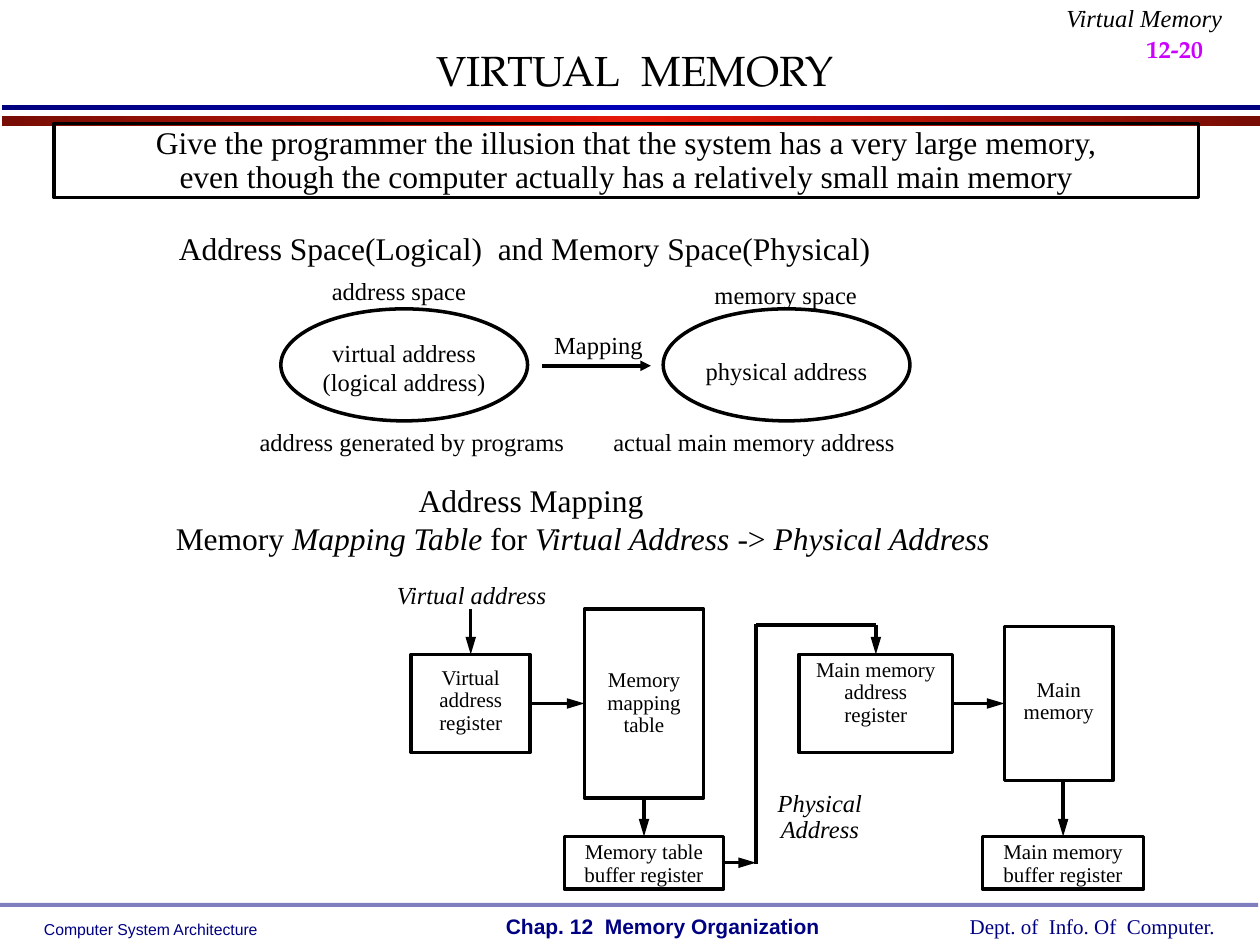
from copy import deepcopy

from lxml.etree import SubElement as Sub
from pptx import Presentation
from pptx.dml.color import RGBColor
from pptx.enum.shapes import MSO_CONNECTOR as Conn, MSO_SHAPE as Kind
from pptx.enum.text import MSO_ANCHOR as Anchor, PP_ALIGN as Align
from pptx.oxml.ns import qn
from pptx.util import Pt

SERIF, SANS, TITLE = "Times New Roman", "Arial", "TeX Gyre Pagella"
BLACK, NAVY = "000000", "000082"
TOP, LEFT, BOTTOM, RIGHT = range(4)


def tint(color, code):
    """Set a colour from a hex string."""
    color.rgb = RGBColor.from_string(code)


def write(frame, text, size, name=SERIF, code=BLACK, align=Align.CENTER,
          bold=False, ital=False, gap=1.0):
    """Fill a text frame, one paragraph a line, with *starred* parts in italics."""
    frame.word_wrap = False
    for n, line in enumerate(text.split("\n")):
        para = frame.add_paragraph() if n else frame.paragraphs[0]
        para.alignment = align
        para.line_spacing = gap
        parts = line.split("*")
        for k, part in enumerate(parts):
            run = para.add_run()
            run.text = part
            if len(parts) > 1:
                run.font.italic = k % 2 == 1
        font = para.font
        font.name, font.size, font.bold = name, Pt(size), bold
        if len(parts) == 1:
            font.italic = ital
        tint(font.color, code)


def label(slide, text, x, y, w, size, h=24, **style):
    """Add a text box."""
    area = slide.shapes.add_textbox(Pt(x), Pt(y), Pt(w), Pt(h))
    write(area.text_frame, text, size, **style)
    return area


def mid(slide, text, x, y, size=14, w=120, **style):
    """Add a label centred on x."""
    return label(slide, text, x - w / 2, y, w, size, **style)


def box(slide, text, x, y, w, h, size=12, kind=Kind.RECTANGLE, gap=0.9, drop=0):
    """Add an outlined shape whose text sits drop points below the middle."""
    shape = slide.shapes.add_shape(kind, Pt(x), Pt(y), Pt(w), Pt(h))
    shape.shadow.inherit = False
    shape.fill.background()
    tint(shape.line.color, BLACK)
    shape.line.width = Pt(2)
    frame = shape.text_frame
    frame.margin_left = frame.margin_right = 0
    frame.margin_top = Pt(max(2 * drop, 0))
    frame.margin_bottom = Pt(max(-2 * drop, 0))
    frame.vertical_anchor = Anchor.MIDDLE
    write(frame, text, size, gap=gap)
    return shape


def bar(slide, x, y, w, h):
    """Add a borderless strip."""
    shape = slide.shapes.add_shape(Kind.RECTANGLE, Pt(x), Pt(y), Pt(w), Pt(h))
    shape.shadow.inherit = False
    shape.line.fill.background()
    return shape


def blend(slide, y, h, edge, core):
    """Add a full-width strip that shades from edge to core and back."""
    shape = bar(slide, 1, y, 719, h)
    fill = shape.fill
    fill.gradient()
    fill.gradient_angle = 0
    stops = shape.element.spPr.find(".//" + qn("a:gsLst"))
    stops.append(deepcopy(stops[0]))
    for stop, place, code in zip(fill.gradient_stops, (0, 0.5, 1), (edge, core, edge)):
        stop.position = place
        tint(stop.color, code)


def link(slide, start, end, head=True, size="lg", begin=None, stop=None):
    """Add a straight line, joined to (shape, side) pairs where given."""
    line = slide.shapes.add_connector(Conn.STRAIGHT, *map(Pt, start + end))
    if begin:
        line.begin_connect(*begin)
    if stop:
        line.end_connect(*stop)
    tint(line.line.color, BLACK)
    line.line.width = Pt(2)
    props = line.element.spPr
    if head:
        Sub(props.find(qn("a:ln")), qn("a:tailEnd"), type="triangle", w="med", len=size)
    Sub(props, qn("a:effectLst"))


def frame(slide):
    """Add the title, rules, page mark and footer."""
    blend(slide, 66.5, 5.5, "770D05", "E71909")
    blend(slide, 60, 3, "00007F", "0000B6")
    rule = bar(slide, 0, 516, 719, 2.3)
    rule.fill.solid()
    tint(rule.fill.fore_color, NAVY)
    Sub(rule.element.spPr.find(".//" + qn("a:srgbClr")), qn("a:alpha"), val="50000")
    title = slide.shapes.title
    title.left, title.top, title.width, title.height = map(Pt, (42, 21.5, 641.5, 37))
    title.text_frame.vertical_anchor = Anchor.MIDDLE
    write(title.text_frame, "VIRTUAL  MEMORY", 24, TITLE)
    page = label(slide, "12-20", 648, 0, 78, 24, 40, name=TITLE, code="CC00FF",
                 bold=True, align=Align.LEFT)
    run = page.text_frame.paragraphs[0].runs[0]
    run.font.size = Pt(24)
    run.font._element.set("baseline", "-25000")
    label(slide, "Virtual Memory", 601, 0, 104.5, 14, ital=True, align=Align.RIGHT, gap=0.9)
    foot = dict(code=NAVY, align=Align.LEFT)
    label(slide, "Computer System Architecture", 18, 522, 137, 9, 18, name=SANS, **foot)
    label(slide, "Chap. 12  Memory Organization", 282, 518.5, 194, 12, 22, name=SANS,
          bold=True, **foot)
    label(slide, "Dept. of  Info. Of  Computer.", 547, 518.5, 156, 12, 22, **foot)


def spaces(slide):
    """Add the two address spaces and the mapping between them."""
    box(slide, "Give the programmer the illusion that the system has a very large memory,\n"
        "even though the computer actually has a relatively small main memory",
        31, 70.5, 654, 42.5, 18, drop=0.5)
    mid(slide, "Address Space(Logical)  and Memory Space(Physical)", 300, 127.5, 18, 440)
    oval = dict(size=14, kind=Kind.OVAL, gap=1.0)
    box(slide, "virtual address\n(logical address)", 160.5, 176.5, 141, 64, drop=1.5, **oval)
    box(slide, "physical address", 379, 176.5, 141, 64, drop=3.5, **oval)
    link(slide, (309.5, 209), (372, 209), size="med")
    mid(slide, "address space", 228, 154)
    mid(slide, "memory space", 449, 156.5)
    mid(slide, "Mapping", 342, 185, w=84)
    mid(slide, "address generated by programs", 235.5, 240.5, w=210)
    mid(slide, "actual main memory address", 431, 240.5, w=200)


def flow(slide):
    """Add the register diagram of the mapping table."""
    mid(slide, "Address Mapping", 303.5, 271.5, 18, 170)
    mid(slide, "Memory *Mapping Table* for *Virtual Address* -> *Physical Address*",
        333, 293, 18, 510)
    mid(slide, "Virtual address", 269.5, 329.5, ital=True, gap=0.9)
    mid(slide, "Physical\nAddress", 468.5, 448.5, w=90, h=38, ital=True, gap=0.9)
    virt = box(slide, "Virtual\naddress\nregister", 235, 374, 68, 56, drop=-1.5)
    table = box(slide, "Memory\nmapping\ntable", 334, 348, 68, 108)
    tbuf = box(slide, "Memory table\nbuffer register", 322.5, 478, 91, 30, drop=1)
    addr = box(slide, "Main memory\naddress\nregister", 456.5, 374, 88, 56, drop=-6)
    main = box(slide, "Main\nmemory", 574, 358, 62, 88, drop=-1)
    mbuf = box(slide, "Main memory\nbuffer register", 561.5, 478, 92, 30, drop=1)
    link(slide, (269, 348), (269, 374), stop=(virt, TOP))
    link(slide, (303, 402), (334, 402), begin=(virt, RIGHT), stop=(table, LEFT))
    link(slide, (368, 456), (368, 478), begin=(table, BOTTOM), stop=(tbuf, TOP))
    link(slide, (413.5, 493), (432, 493), begin=(tbuf, RIGHT))
    link(slide, (432, 494), (432, 356.5), head=False)
    link(slide, (432, 357), (500.5, 357), head=False)
    link(slide, (500.5, 357), (500.5, 374), stop=(addr, TOP))
    link(slide, (544.5, 402), (574, 402), begin=(addr, RIGHT), stop=(main, LEFT))
    link(slide, (607.5, 446), (607.5, 478), stop=(mbuf, TOP))


def main():
    """Build and save the slide."""
    deck = Presentation()
    deck.slide_width, deck.slide_height = Pt(720), Pt(540)
    slide = deck.slides.add_slide(deck.slide_layouts[5])
    frame(slide)
    spaces(slide)
    flow(slide)
    deck.save("out.pptx")


if __name__ == "__main__":
    main()
